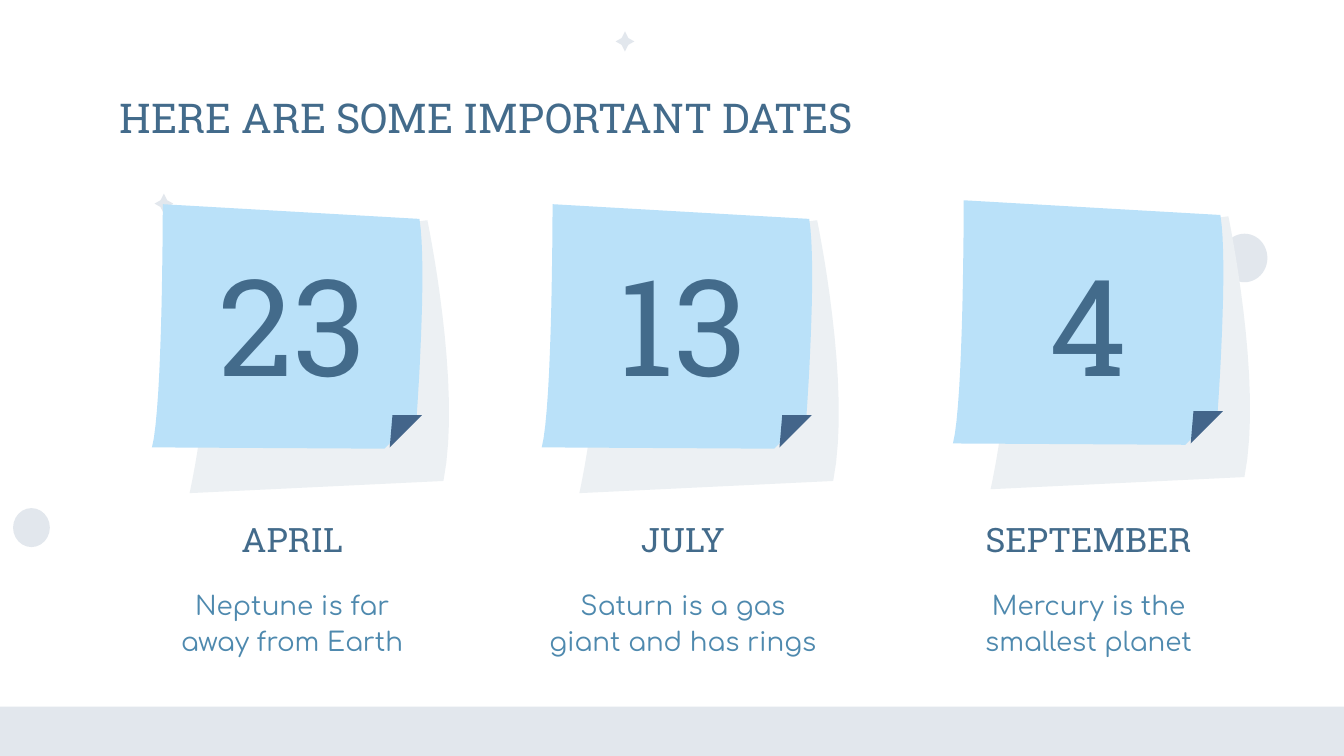
import pptx
import pptx.dml.color
import pptx.enum.shapes
import pptx.enum.text
import pptx.util

Pt = pptx.util.Pt
RGBColor = pptx.dml.color.RGBColor
SHAPES = pptx.enum.shapes.MSO_SHAPE
ALIGN = pptx.enum.text.PP_ALIGN
ANCHOR = pptx.enum.text.MSO_ANCHOR

DECORATION = RGBColor(0xE2, 0xE7, 0xED)
SHADOW = RGBColor(0xEC, 0xF0, 0xF3)
PAPER = RGBColor(0xBA, 0xE1, 0xF9)
FOLD = RGBColor(0x43, 0x65, 0x8A)
HEADING = RGBColor(0x43, 0x6B, 0x8B)
BODY = RGBColor(0x4E, 0x89, 0xAE)
HEADING_FONT = "Roboto Slab"
BODY_FONT = "Comfortaa"

SLIDE_WIDTH, SLIDE_HEIGHT = 720, 405
CURVE_STEPS = 16

SHADOW_OUTLINE = [
    (147.6, 8.6), (20.2, 25.2), (41, 63.4, 20.2, 154.8, 20.2, 154.8),
    (156.2, 148.3), (166.3, 97.9, 147.6, 8.6, 147.6, 8.6),
]
PAPER_OUTLINE = [
    (5.8, 0), (5.8, 0, 5.8, 108.7, 0, 130.3), (124.6, 131),
    (141.8, 113.8), (141.8, 113.8, 147.6, 33.8, 143.3, 7.9),
]
FOLD_OUTLINE = [(128.9, 113), (127.4, 130.3), (144.7, 113)]
STAR_OUTLINE = [
    (5, 0), (3.2, 3.6), (0, 5.4), (3.2, 7.2),
    (5, 10.8), (6.8, 7.2), (10, 5.4), (6.8, 3.6),
]

DATES = [
    (31.7, 81.4, 109.4, "23", "APRIL", "Neptune is far away from Earth"),
    (241, 290.2, 109.4, "13", "JULY", "Saturn is a gas giant and has rings"),
    (458.3, 510.5, 107.3, "4", "SEPTEMBER", "Mercury is the smallest planet"),
]


def paint(shape, color):
    shape.shadow.inherit = False
    shape.fill.solid()
    shape.fill.fore_color.rgb = color
    shape.line.fill.background()


def flatten(outline):
    points = [outline[0]]
    for segment in outline[1:]:
        if len(segment) == 2:
            points.append(segment)
            continue
        start = points[-1]
        for step in range(1, CURVE_STEPS + 1):
            t = step / CURVE_STEPS
            u = 1 - t
            points.append(tuple(
                u ** 3 * start[axis] + 3 * u * u * t * segment[axis]
                + 3 * u * t * t * segment[axis + 2] + t ** 3 * segment[axis + 4]
                for axis in (0, 1)
            ))
    return points


def add_outline(slide, left, top, outline, color):
    points = [(Pt(left + x), Pt(top + y)) for x, y in flatten(outline)]
    builder = slide.shapes.build_freeform(*points[0])
    builder.add_line_segments(points[1:], close=True)
    paint(builder.convert_to_shape(), color)


def add_preset(slide, kind, left, top, width, height):
    shape = slide.shapes.add_shape(kind, Pt(left), Pt(top), Pt(width), Pt(height))
    paint(shape, DECORATION)


def write(shape, text, size, font, color, align, anchor=ANCHOR.TOP):
    frame = shape.text_frame
    frame.word_wrap = True
    frame.auto_size = pptx.enum.text.MSO_AUTO_SIZE.NONE
    frame.vertical_anchor = anchor
    frame.margin_left = frame.margin_right = Pt(7.2)
    frame.margin_top = frame.margin_bottom = Pt(7.2)
    paragraph = frame.paragraphs[0]
    paragraph.alignment = align
    run = paragraph.add_run()
    run.text = text
    run.font.size = Pt(size)
    run.font.name = font
    run.font.color.rgb = color
    return paragraph


def add_text(slide, left, top, width, height, *style):
    shape = slide.shapes.add_textbox(Pt(left), Pt(top), Pt(width), Pt(height))
    return write(shape, *style)


def add_background(slide, width, height):
    band_height = 26.5
    add_preset(slide, SHAPES.RECTANGLE, 0, height - band_height, width, band_height)
    add_preset(slide, SHAPES.OVAL, 654.5, 125.2, 24.5, 26)
    add_preset(slide, SHAPES.OVAL, 7, 272.2, 19.7, 20.9)
    for left, top in ((82.8, 103.7), (329.8, 16.8)):
        add_outline(slide, left, top, STAR_OUTLINE, DECORATION)


def add_title(slide, left, top, width, height):
    title = slide.shapes.title
    title.left, title.top = Pt(left), Pt(top)
    title.width, title.height = Pt(width), Pt(height)
    write(title, "HERE ARE SOME IMPORTANT DATES", 22, HEADING_FONT, HEADING, ALIGN.LEFT)


def add_note(slide, left, top):
    add_outline(slide, left, top, SHADOW_OUTLINE, SHADOW)
    add_outline(slide, left, top, PAPER_OUTLINE, PAPER)
    add_outline(slide, left, top, FOLD_OUTLINE, FOLD)


def add_date(slide, left, top, width, day, month, description):
    heading = (HEADING_FONT, HEADING, ALIGN.CENTER)
    add_text(slide, left + 28.8, top, width - 57.6, 92.9, day, 72, *heading, ANCHOR.MIDDLE)
    add_text(slide, left, top + 144, width, 51.8, month, 18, *heading)
    paragraph = add_text(slide, left + 46, top + 179.3, width - 92, 95,
                         description, 14, BODY_FONT, BODY, ALIGN.CENTER)
    paragraph.line_spacing = 1.15
    paragraph.space_after = Pt(16)


presentation = pptx.Presentation()
presentation.slide_width = Pt(SLIDE_WIDTH)
presentation.slide_height = Pt(SLIDE_HEIGHT)
slide = presentation.slides.add_slide(presentation.slide_layouts[5])
add_background(slide, SLIDE_WIDTH, SLIDE_HEIGHT)
add_title(slide, 56.9, 42.5, 488.2, 38.9)
for column_left, note_left, note_top, day, month, description in DATES:
    add_note(slide, note_left, note_top)
    add_date(slide, column_left, 126.7, 249.8, day, month, description)
presentation.save("out.pptx")
